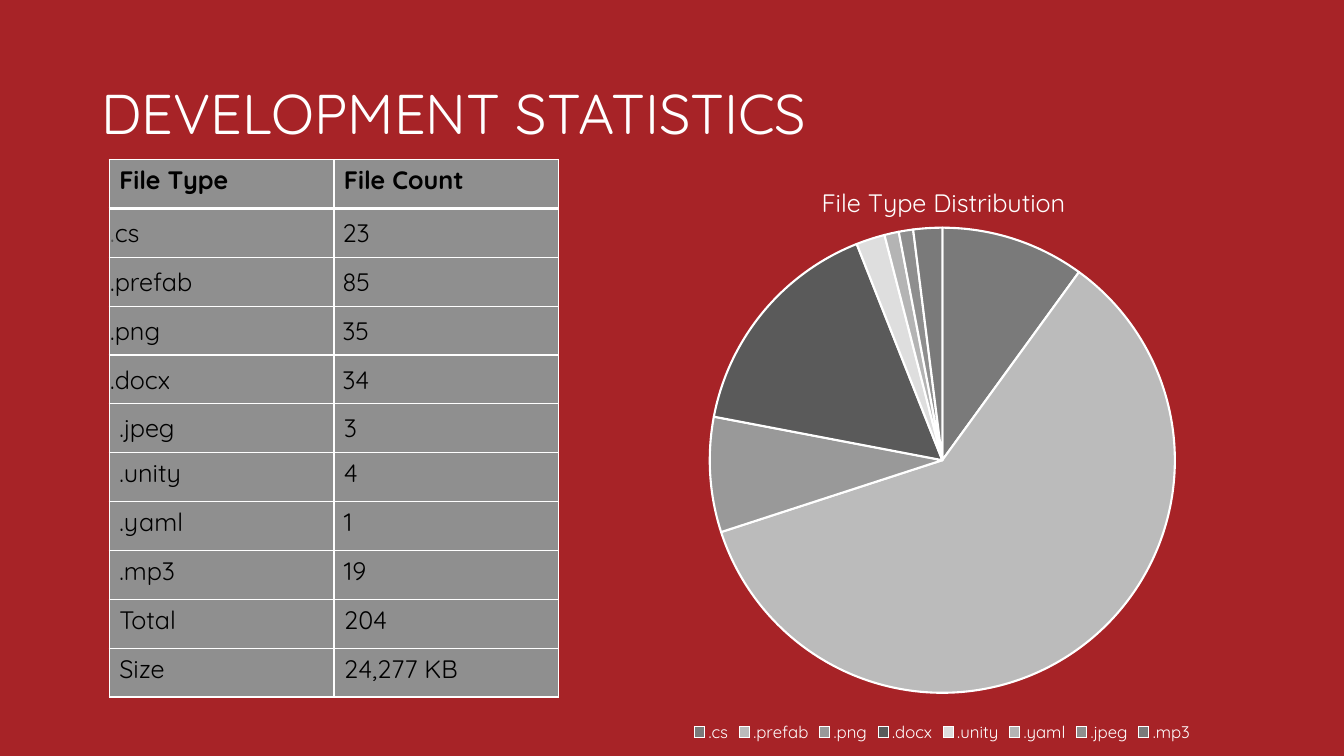
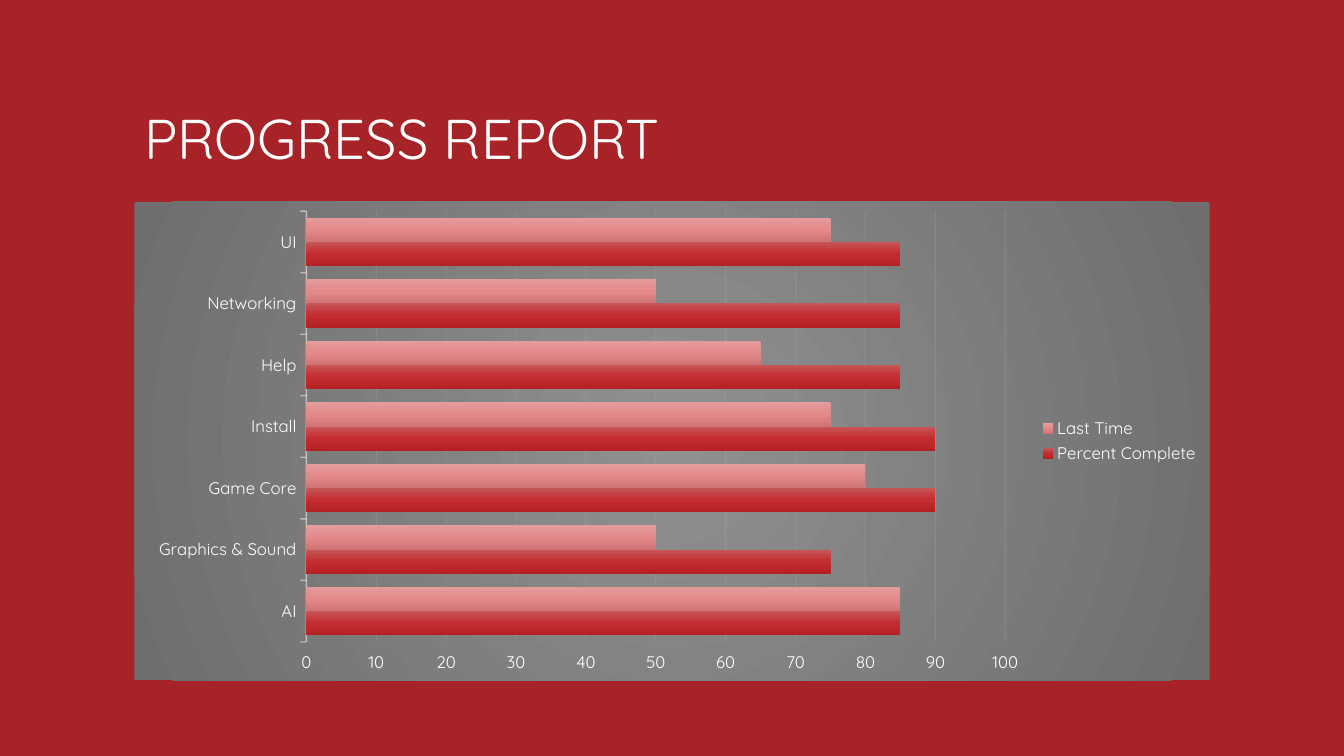
"""Build two slides: development statistics and a progress report."""
from pptx import Presentation
from pptx.chart.data import CategoryChartData
from pptx.dml.color import RGBColor
from pptx.enum.chart import XL_CHART_TYPE, XL_LEGEND_POSITION, XL_TICK_MARK
from pptx.enum.text import MSO_ANCHOR, MSO_AUTO_SIZE, PP_ALIGN
from pptx.oxml import parse_xml
from pptx.oxml.ns import nsdecls, qn
from pptx.util import Pt

PX = 9525
HUES = {"back": "A72327", "text": "FFFFFF", "ink": "000000", "dot": "545454",
        "cell": "8F8F8F", "axis": "F2F2F2"}
FACE = "Quicksand"
SLICES = ["7A7A7A", "BBBBBB", "999999", "5A5A5A", "DEDEDE", "B4B4B4", "8E8E8E", "7A7A7A"]
ROWS = [("File Type", "File Count"), (".|cs", "23"), (".prefab", "85"),
        (".png", "35"), (".docx", "34"), (".jpeg", "3"), (".unity", "4"),
        (".yaml", "1"), (".mp3", "19"), ("Total", "204"), ("Size", "24,277 KB")]
TYPES = {".cs": 10, ".prefab": 60, ".png": 8, ".docx": 16, ".unity": 2,
         ".yaml": 1, ".jpeg": 1, ".mp3": 2}
PARTS = ["AI", "Graphics & Sound", "Game Core", "Install", "Help", "Networking", "UI"]
BARS = [("Percent Complete", [85, 75, 90, 90, 85, 85, 85],
         [(0, "C75658"), (50, "C42C30"), (100, "B42124")]),
        ("Last Time", [85, 50, 80, 75, 65, 50, 75],
         [(0, "E49B9C"), (50, "E4898A"), (100, "D07475")])]


def style(font, size, hue="text", bold=False):
    """Set the shared face with a size, hue and weight."""
    form = {"name": FACE, "size": Pt(size), "bold": bold}
    for key, val in form.items():
        setattr(font, key, val)
    font.color.rgb = RGBColor.from_string(HUES[hue])


def blend(stops, tail):
    """Return a gradient fill from stops and a direction."""
    marks = "".join(f'<a:gs pos="{pos * 1000}"><a:srgbClr val="{hue}"/></a:gs>'
                    for pos, hue in stops)
    return parse_xml(f'<a:gradFill {nsdecls("a")} rotWithShape="1">'
                     f'<a:gsLst>{marks}</a:gsLst>{tail}</a:gradFill>')


deck = Presentation()
deck.slide_width, deck.slide_height = 1280 * PX, 720 * PX
back = deck.slide_master.background.fill
back.solid()
back.fore_color.rgb = RGBColor.from_string(HUES["back"])

slides = []
for text, left, top in [("DEVELOPMENT STATISTICS", 87, 5), ("PROGRESS REPORT", 128, 29)]:
    slide = deck.slides.add_slide(deck.slide_layouts[5])
    title = slide.shapes.title
    place = {"left": left, "top": top, "width": 1024, "height": 139}
    for key, val in place.items():
        setattr(title, key, val * PX)
    frame = title.text_frame
    frame.text = text
    frame.auto_size = MSO_AUTO_SIZE.NONE
    frame.vertical_anchor = MSO_ANCHOR.BOTTOM
    para = frame.paragraphs[0]
    para.alignment, para.line_spacing = PP_ALIGN.LEFT, 0.9
    style(para.runs[0].font, 40)
    slides.append(slide)
stats, report = slides

grid = stats.shapes.add_table(len(ROWS), 2, 104 * PX, 152 * PX, 428 * PX, 512 * PX).table
for row, words in enumerate(ROWS):
    tight = 1 <= row <= 4
    for col, word in enumerate(words):
        cell = grid.cell(row, col)
        cell.fill.solid()
        cell.fill.fore_color.rgb = RGBColor.from_string(HUES["cell"])
        cell.vertical_anchor = MSO_ANCHOR.MIDDLE if 1 <= row <= 5 else MSO_ANCHOR.TOP
        if tight:
            edges = {"left": 8 if col else 1, "top": 1, "right": 1, "bottom": 0}
            for side, val in edges.items():
                setattr(cell, f"margin_{side}", val * PX)
        for part in word.split("|"):
            run = cell.text_frame.paragraphs[0].add_run()
            run.text = part
            style(run.font, 18, "dot" if part == "." else "ink", row == 0)
        props = cell._tc.get_or_add_tcPr()
        for spot, side in enumerate("LRTB"):
            thick = 3 if (row, side) in [(0, "B"), (1, "T")] else 1
            props.insert(spot, parse_xml(
                f'<a:ln{side} {nsdecls("a")} w="{Pt(thick)}"><a:solidFill>'
                f'<a:srgbClr val="{HUES["text"]}"/></a:solidFill></a:ln{side}>'))

data = CategoryChartData()
data.categories = list(TYPES)
data.add_series("Series 1", list(TYPES.values()))
pie = stats.shapes.add_chart(XL_CHART_TYPE.PIE, 471 * PX, 143 * PX, 853 * PX, 568 * PX, data).chart
pie.has_title = True
pie.chart_title.text_frame.text = "File Type Distribution"
style(pie.chart_title.text_frame.paragraphs[0].runs[0].font, 18)
pie.plots[0].vary_by_categories = True
for spot, hue in enumerate(SLICES):
    look = pie.plots[0].series[0].points[spot].format
    look.fill.solid()
    look.fill.fore_color.rgb = RGBColor.from_string(hue)
    look.line.width = Pt(1.5)
    look.line.color.rgb = RGBColor.from_string(HUES["text"])

data = CategoryChartData()
data.categories = PARTS
for name, vals, stops in BARS:
    data.add_series(name, vals)
bar = report.shapes.add_chart(XL_CHART_TYPE.BAR_CLUSTERED, 128 * PX, 192 * PX,
                              1024 * PX, 456 * PX, data).chart
bar.has_title = False
plot = bar.plots[0]
plot.gap_width, plot.overlap, plot.vary_by_categories = 55, 0, False
for item, (name, vals, stops) in zip(plot.series, BARS):
    item._element.get_or_add_spPr().insert(0, blend(stops, '<a:lin ang="5400000" scaled="0"/>'))

cats, scale = bar.category_axis, bar.value_axis
form = {"minimum_scale": 0, "maximum_scale": 100, "major_unit": 10, "has_major_gridlines": True}
for key, val in form.items():
    setattr(scale, key, val)
for axis in (cats, scale):
    axis.major_tick_mark = XL_TICK_MARK.OUTSIDE
    style(axis.tick_labels.font, 12)
scale.format.line.fill.background()
for line, width, alpha in [(cats.format.line, 1, 54), (scale.major_gridlines.format.line, 0.75, 10)]:
    line.width = Pt(width)
    line.color.rgb = RGBColor.from_string(HUES["axis"])
    tint = line._ln.find(".//" + qn("a:srgbClr"))
    tint.append(parse_xml(f'<a:alpha {nsdecls("a")} val="{alpha * 1000}"/>'))

for chart, spot in [(pie, XL_LEGEND_POSITION.BOTTOM), (bar, XL_LEGEND_POSITION.RIGHT)]:
    style(chart.font, 10)
    chart.has_legend = True
    chart.legend.position = spot
    chart.legend.include_in_layout = False
    style(chart.legend.font, 12)

area = parse_xml(f'<c:spPr {nsdecls("c", "a")}><a:ln><a:noFill/></a:ln></c:spPr>')
area.insert(0, blend([(0, "909090"), (100, "6E6E6E")],
                     '<a:path path="circle"><a:fillToRect l="50000" t="50000" r="50000" b="50000"/></a:path>'))
bar._chartSpace.find(qn("c:chart")).addnext(area)

for chart, tag, spot, box in [(pie, "c:title", 1, (0.36, 0.05)),
                              (pie, "c:plotArea", 0, (0.24, 0.13, 0.52, 0.78)),
                              (bar, "c:plotArea", 0, (0.16, 0.02, 0.65, 0.9))]:
    node = chart._chartSpace.find(".//" + qn(tag))
    for old in node.findall(qn("c:layout")):
        node.remove(old)
    inner = '<c:layoutTarget val="inner"/>' if tag == "c:plotArea" else ""
    sizes = "".join(f'<c:{key} val="{val}"/>' for key, val in zip("xywh", box))
    node.insert(spot, parse_xml(
        f'<c:layout {nsdecls("c")}><c:manualLayout>{inner}<c:xMode val="edge"/>'
        f'<c:yMode val="edge"/>{sizes}</c:manualLayout></c:layout>'))

deck.save("out.pptx")
